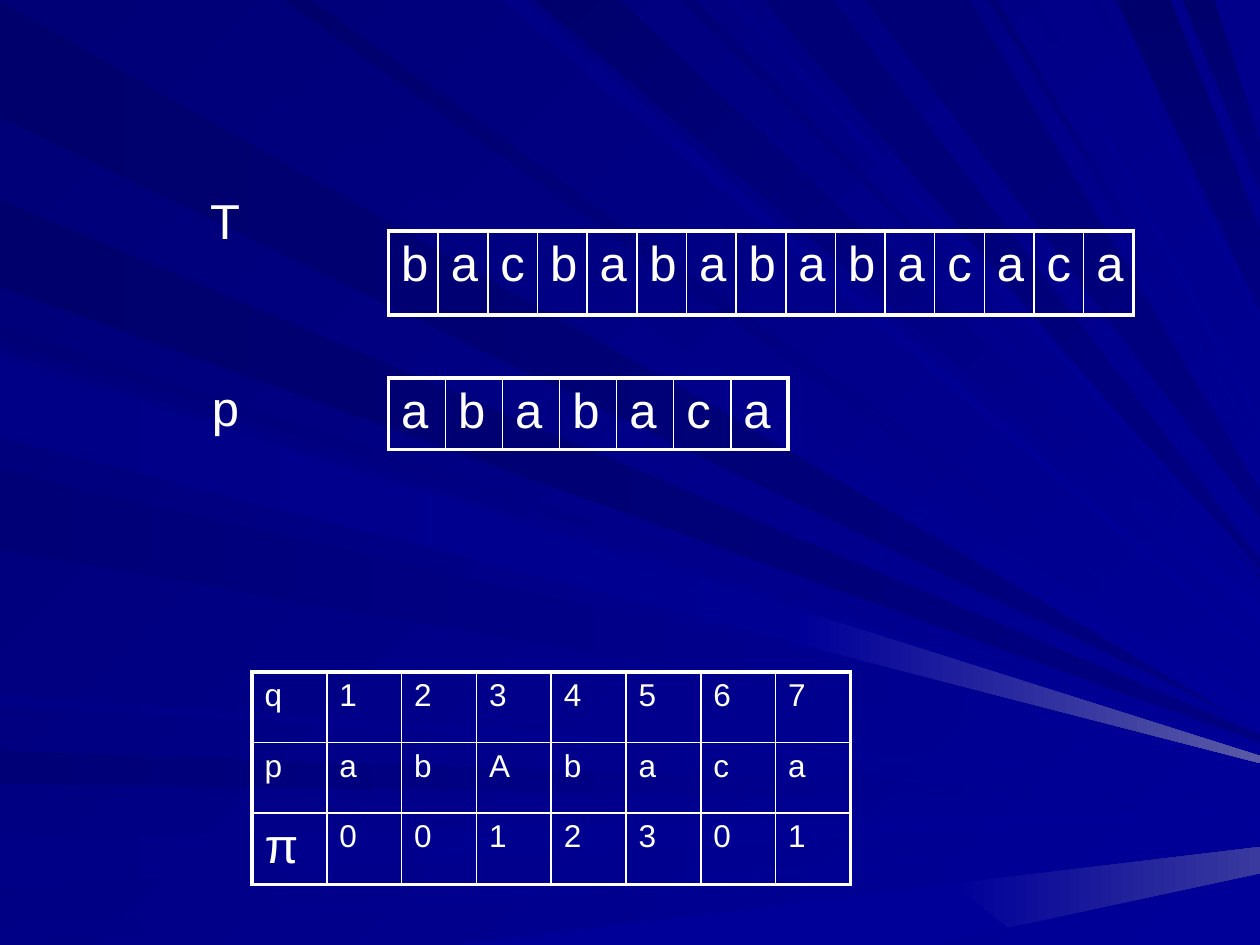
import lxml.etree
import pptx
import pptx.dml.color
import pptx.oxml.ns
import pptx.util

Pt = pptx.util.Pt
RGB = pptx.dml.color.RGBColor

WHITE = RGB.from_string("FFFFFF")
DEEP = RGB.from_string("00006C")
DARK = RGB.from_string("000076")
NAVY = RGB.from_string("000080")
MID = RGB.from_string("000087")
BLUE = RGB.from_string("000099")
GLOW_LOW = RGB.from_string("39399E")
GLOW_HIGH = RGB.from_string("5A5AA6")

WIDTH, HEIGHT = 720, 540
FONT = "Arial"
LARGE, SMALL = 28, 18
THICK, THIN = 2.25, 1

# Light rays: start and stop on their edge, height at the right edge, colours
LEFT_RAYS = [
    (1, 67, 410, DEEP, NAVY),
    (429, 448, 455, DARK, BLUE),
    (479, 507, 463, MID, BLUE),
    (529, 540, 476, MID, BLUE),
    (186, 194, 424, DARK, BLUE),
    (114, 164, 420, DEEP, NAVY),
    (200, 246, 429, NAVY, BLUE),
    (269, 314, 435, DARK, BLUE),
    (397, 403, 447, MID, BLUE),
    (204, 250, 432, MID, BLUE),
]
TOP_RAYS = [
    (18, 72, 404, DARK, BLUE),
    (286, 300, 371, MID, BLUE),
    (306, 354, 345, DEEP, BLUE),
    (389, 397, 333, DARK, BLUE),
    (436, 476, 320, DARK, NAVY),
    (162, 178, 394, DEEP, BLUE),
    (415, 423, 326, MID, BLUE),
    (494, 554, 281, DARK, NAVY),
    (565, 570, 255, DARK, BLUE),
    (587, 593, 241, MID, BLUE),
    (623, 628, 180, MID, BLUE),
]
CORNER_RAYS = [(638, 669, 132, DEEP, NAVY), (676, 694, 82, DEEP, NAVY)]

# String matching example
TEXT = "bacbabababacaca"
PATTERN = "ababaca"
PREFIX_ROWS = ["q1234567", "pabAbaca", "π0012301"]


def set_gradient(fill, start, end, angle):
    fill.gradient()
    fill.gradient_angle = -angle % 360
    for stop, color in zip(fill.gradient_stops, (start, end)):
        stop.color.rgb = color


def add_ray(s, corners, start, end, angle):
    points = [(Pt(x), Pt(y)) for x, y in corners]
    builder = s.shapes.build_freeform(*points[0], scale=1.0)
    builder.add_line_segments(points[1:], close=True)
    sp = builder.convert_to_shape()
    sp.shadow.inherit = False
    sp.line.fill.background()
    set_gradient(sp.fill, start, end, angle)


def add_rays(s, rays, from_left, taper, angle):
    for first, last, height, start, end in rays:
        low = height + taper * (last - first)
        if from_left:
            corners = [(0, first), (WIDTH, height), (WIDTH, low), (0, last)]
        else:
            corners = [(first, 0), (last, 0), (WIDTH, height), (WIDTH, low)]
        add_ray(s, corners, start, end, angle)


def add_background(s):
    set_gradient(s.background.fill, DARK, BLUE, 45)
    add_rays(s, LEFT_RAYS, True, 0.08, 0)
    add_rays(s, TOP_RAYS, False, 0.25, 45)
    add_rays(s, CORNER_RAYS, False, 1.5, 90)
    # Wide ray at the bottom and the two glowing ray ends
    add_ray(s, [(262, HEIGHT), (544, 505), (576, 530), (534, HEIGHT)], BLUE, BLUE, 0)
    add_ray(s, [(544, 505), (WIDTH, 484), (WIDTH, 499), (576, 530)], BLUE, GLOW_LOW, 0)
    add_ray(s, [(458, 349), (WIDTH, 432), (WIDTH, 436), (456, 368)], BLUE, GLOW_HIGH, 0)


def style(p, size):
    p.font.name = FONT
    p.font.size = Pt(size)
    p.font.color.rgb = WHITE


def add_label(s, text, left, top):
    tf = s.shapes.add_textbox(Pt(left), Pt(top), Pt(30), Pt(41)).text_frame
    tf.word_wrap = False
    p = tf.paragraphs[0]
    p.text = text
    style(p, LARGE)


def set_border(cell, side, width):
    qn = pptx.oxml.ns.qn
    tc_pr = cell._tc.get_or_add_tcPr()
    ln = lxml.etree.SubElement(tc_pr, qn("a:ln" + side), w=str(Pt(width)))
    fill = lxml.etree.SubElement(ln, qn("a:solidFill"))
    lxml.etree.SubElement(fill, qn("a:srgbClr"), val=str(WHITE))


def add_grid(s, rows, left, top, col_width, row_height, size):
    n_rows, n_cols = len(rows), len(rows[0])
    frame = s.shapes.add_table(n_rows, n_cols, Pt(left), Pt(top),
                               Pt(col_width * n_cols), Pt(row_height * n_rows))
    table = frame.table
    table.first_row = table.horz_banding = False
    for column in table.columns:
        column.width = Pt(col_width)
    for i, row in enumerate(rows):
        table.rows[i].height = Pt(row_height)
        for j, char in enumerate(row):
            cell = table.cell(i, j)
            p = cell.text_frame.paragraphs[0]
            p.text = char
            style(p, LARGE if char == "π" else size)
            # The outer frame is thicker than the inner lines
            outer = {"L": j == 0, "R": j == n_cols - 1,
                     "T": i == 0, "B": i == n_rows - 1}
            for side, is_outer in outer.items():
                set_border(cell, side, THICK if is_outer else THIN)
            cell.fill.background()


def main():
    prs = pptx.Presentation()
    prs.slide_width, prs.slide_height = Pt(WIDTH), Pt(HEIGHT)
    s = prs.slides.add_slide(prs.slide_layouts[6])
    add_background(s)

    # Text and pattern
    add_label(s, "T", 113, 105.5)
    add_grid(s, [TEXT], 222, 132, 28.4, 48, LARGE)
    add_label(s, "p", 114, 212)
    add_grid(s, [PATTERN], 222, 216, 32.6, 41, LARGE)

    # Prefix function
    add_grid(s, PREFIX_ROWS, 144, 384, 42.75, 40.3, SMALL)

    prs.save("out.pptx")


if __name__ == "__main__":
    main()
